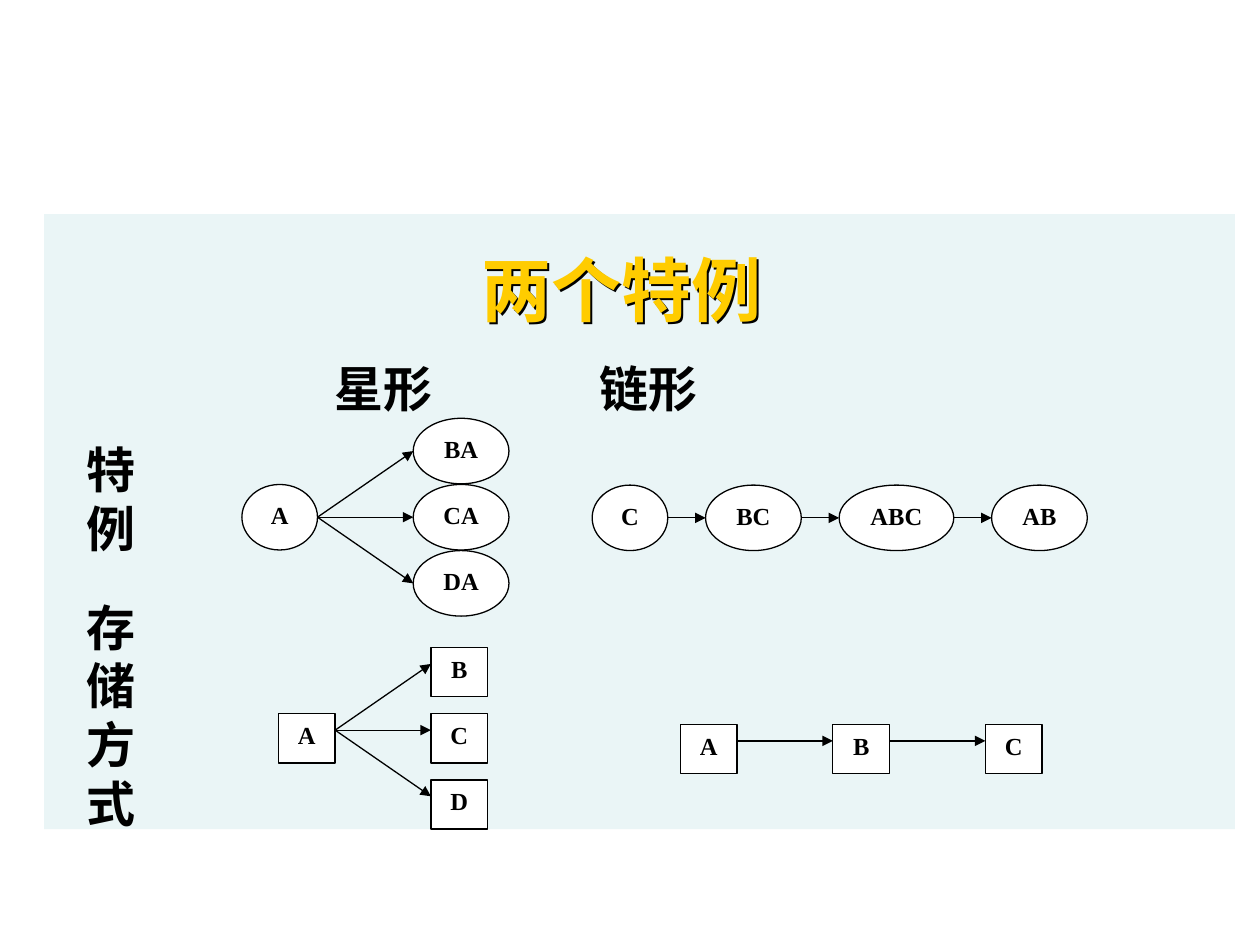
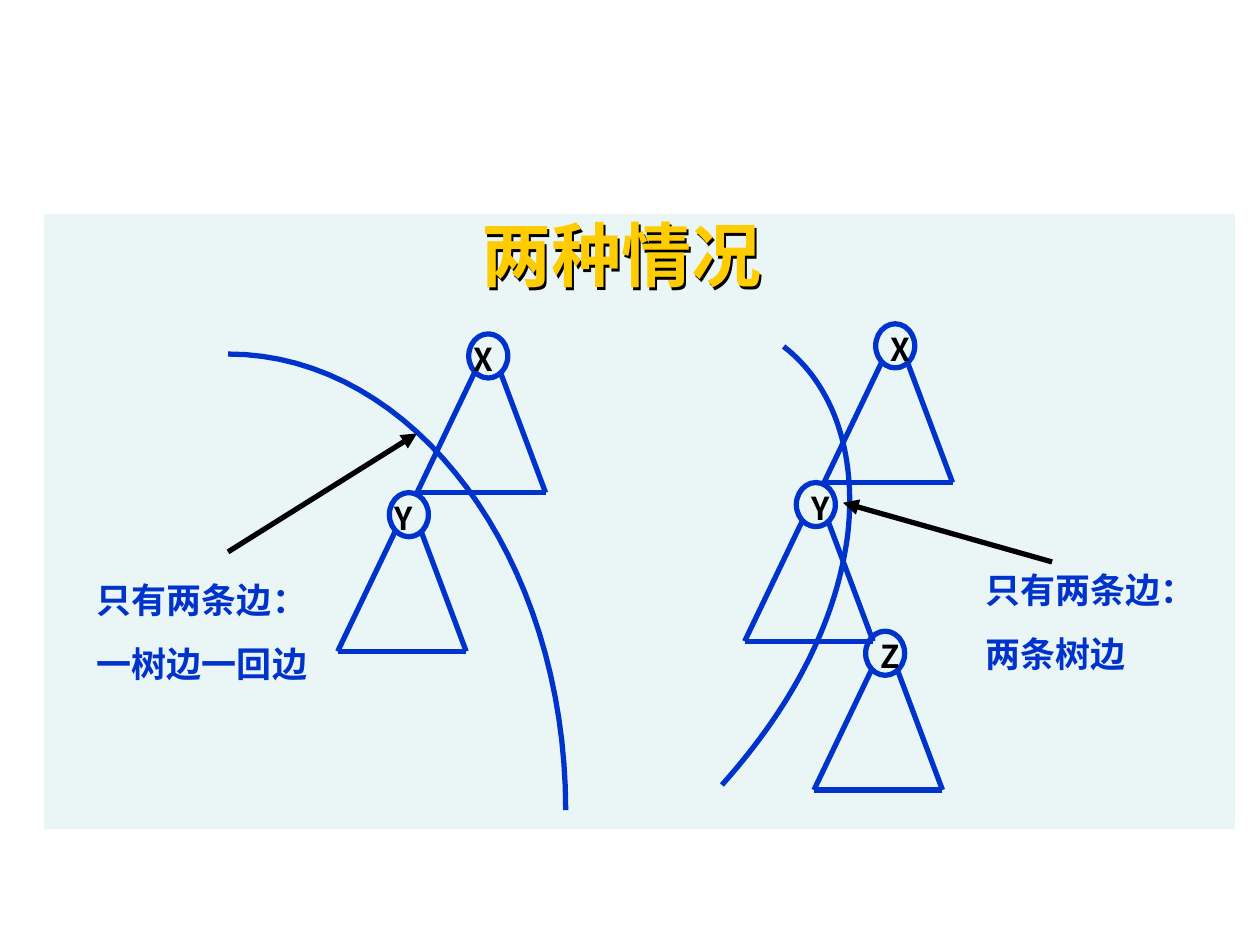
from collections import namedtuple

from lxml import etree
from pptx import Presentation
from pptx.dml.color import RGBColor
from pptx.enum import shapes as kinds, text as txt
from pptx.oxml import ns
from pptx.util import Inches, Pt

BAND = RGBColor(0xBB, 0xE0, 0xE3)
GOLD = RGBColor(0xFF, 0xCC, 0x00)
BLUE = RGBColor(0x00, 0x33, 0xCC)
BLACK = RGBColor(0, 0, 0)
WHITE = RGBColor(0xFF, 0xFF, 0xFF)
CJK = "Noto Sans CJK SC"

NodeStyle = namedtuple("NodeStyle", "outline widths height port star_gap chain_gap")
VERTEX = NodeStyle(kinds.MSO_SHAPE.OVAL, {1: 0.6, 2: 0.76, 3: 0.91}, 0.52, 0.26, 0.76, 0.3)
RECORD = NodeStyle(kinds.MSO_SHAPE.RECTANGLE, {1: 0.45}, 0.39, 0.13, 0.76, 0.76)
LEAF_PITCH = 0.525


def add_child(parent, tag, **attributes):
    return etree.SubElement(parent, ns.qn(tag), attributes)


def style_paragraph(paragraph, size, color, face):
    paragraph.font.size = Pt(size)
    paragraph.font.bold = True
    paragraph.font.color.rgb = color
    paragraph.font.name = face
    defaults = paragraph._p.get_or_add_pPr().find(ns.qn("a:defRPr"))
    add_child(defaults, "a:ea", typeface=CJK)


def add_band(slide, layout):
    band = slide.shapes.add_shape(kinds.MSO_SHAPE.RECTANGLE, Inches(0.35), Inches(1.7),
                                  Inches(9.45), Inches(4.88))
    band.shadow.inherit = False
    band.fill.solid()
    band.fill.fore_color.rgb = BAND
    band.line.fill.background()
    color = band.fill._xPr.find(ns.qn("a:solidFill"))[0]
    add_child(color, "a:alpha", val="30000")
    layout.shapes.element.insert(2, band.element)


def set_title(slide, wording, height):
    title = slide.shapes.title
    title.left, title.top, title.width, title.height = map(Inches, (0.43, 1.62, 9, height))
    title.text_frame.text = wording
    title.text_frame.vertical_anchor = txt.MSO_ANCHOR.MIDDLE
    paragraph = title.text_frame.paragraphs[0]
    paragraph.alignment = txt.PP_ALIGN.CENTER
    style_paragraph(paragraph, 40, GOLD, "Arial")
    title.fill.background()
    effects = add_child(title.element.spPr, "a:effectLst")
    shadow = add_child(effects, "a:outerShdw", dist="22000", dir="2700000")
    add_child(shadow, "a:srgbClr", val="000000")


def add_text(slide, left, top, width, height, lines, size, color=BLACK, face=CJK):
    box = slide.shapes.add_textbox(Inches(left), Inches(top), Inches(width), Inches(height))
    frame = box.text_frame
    frame.word_wrap = True
    frame.text = "\n".join(lines)
    for paragraph in frame.paragraphs:
        paragraph.space_before = Pt(size * 0.625)
        style_paragraph(paragraph, size, color, face)


def add_line(slide, start, end, color=BLACK, weight=0.75, arrow=False):
    line = slide.shapes.add_connector(kinds.MSO_CONNECTOR.STRAIGHT,
                                      *map(Inches, (*start, *end)))
    line.line.color.rgb = color
    line.line.width = Pt(weight)
    if arrow:
        add_child(line.line._get_or_add_ln(), "a:tailEnd", type="triangle")
    add_child(line.element.spPr, "a:effectLst")


def add_node(slide, style, left, top, label):
    width = style.widths[len(label)]
    node = slide.shapes.add_shape(style.outline, Inches(left), Inches(top),
                                  Inches(width), Inches(style.height))
    node.shadow.inherit = False
    node.fill.solid()
    node.fill.fore_color.rgb = WHITE
    node.line.color.rgb = BLACK
    node.line.width = Pt(0.75)
    frame = node.text_frame
    frame.word_wrap = False
    frame.vertical_anchor = txt.MSO_ANCHOR.TOP
    frame.text = label
    frame.paragraphs[0].alignment = txt.PP_ALIGN.CENTER
    style_paragraph(frame.paragraphs[0], 14, BLACK, "Times New Roman")
    return left + width


def add_star(slide, style, left, top, root, leaves):
    root_top = top + LEAF_PITCH * (len(leaves) - 1) / 2
    root_right = add_node(slide, style, left, root_top, root)
    leaf_left = root_right + style.star_gap
    for row, leaf in enumerate(leaves):
        leaf_top = top + row * LEAF_PITCH
        add_line(slide, (root_right, root_top + style.port),
                 (leaf_left, leaf_top + style.port), arrow=True)
        add_node(slide, style, leaf_left, leaf_top, leaf)


def add_chain(slide, style, left, top, labels):
    port = top + style.port
    right = add_node(slide, style, left, top, labels[0])
    for label in labels[1:]:
        following = right + style.chain_gap
        add_line(slide, (right, port), (following, port), arrow=True)
        right = add_node(slide, style, following, top, label)


def add_subtree(slide, left, top, label, label_shift):
    root = slide.shapes.add_shape(kinds.MSO_SHAPE.OVAL, Inches(left + 0.41), Inches(top),
                                  Inches(0.31), Inches(0.35))
    root.shadow.inherit = False
    root.fill.background()
    root.line.color.rgb = BLUE
    root.line.width = Pt(3)
    base_left, base_right = (left, top + 1.26), (left + 1.02, top + 1.26)
    for start, end in (((left + 0.46, top + 0.3), base_left),
                       (base_right, base_left),
                       ((left + 0.66, top + 0.3), base_right)):
        add_line(slide, start, end, BLUE, 3)
    add_text(slide, left + label_shift, top, 0.55, 0.4, [label], 18)


def bezier(p0, p1, p2, p3, steps=32):
    for step in range(1, steps + 1):
        t = step / steps
        weights = ((1 - t) ** 3, 3 * t * (1 - t) ** 2, 3 * t * t * (1 - t), t ** 3)
        yield tuple(Inches(sum(w * p[axis] for w, p in zip(weights, (p0, p1, p2, p3))))
                    for axis in (0, 1))


def add_cut(slide, start, *curves):
    builder = slide.shapes.build_freeform(*map(Inches, start))
    for curve in curves:
        builder.add_line_segments(list(bezier(start, *curve)), close=False)
        start = curve[-1]
    cut = builder.convert_to_shape()
    cut.shadow.inherit = False
    cut.fill.background()
    cut.line.color.rgb = BLUE
    cut.line.width = Pt(3)


def build_special_cases(slide):
    set_title(slide, "两个特例", 1.34)
    add_star(slide, VERTEX, 1.92, 3.32, "A", ["BA", "CA", "DA"])
    add_chain(slide, VERTEX, 4.7, 3.85, ["C", "BC", "ABC", "AB"])
    add_star(slide, RECORD, 2.21, 5.14, "A", ["B", "C", "D"])
    add_chain(slide, RECORD, 5.4, 5.75, ["A", "B", "C"])
    for left, heading in ((2.56, "星形"), (4.66, "链形")):
        add_text(slide, left, 2.8, 1.5, 0.57, [heading], 28)
    for top, height, heading in ((3.44, 1.04, "特例"), (4.69, 1.97, "存储方式")):
        add_text(slide, 0.59, top, 0.63, height, [heading], 28)


def add_case(slide, subtrees, label_shift, cut, pointer, note_at, note):
    for left, top, label in subtrees:
        add_subtree(slide, left, top, label, label_shift)
    add_cut(slide, *cut)
    add_line(slide, *pointer, weight=3, arrow=True)
    add_text(slide, *note_at, 2.16, 0.94, ["只有两条边：", note], 20, BLUE, "Arial")


def build_two_situations(slide):
    set_title(slide, "两种情况", 0.79)
    add_case(slide, [(3.31, 2.65, "X"), (2.68, 3.91, "Y")], 0.35,
             [(1.81, 2.81), ((3.29, 2.81), (4.49, 4.43), (4.49, 6.43))],
             [(1.81, 4.38), (3.31, 3.44)], (0.67, 4.54), "一树边一回边")
    add_case(slide, [(6.54, 2.57, "X"), (5.91, 3.83, "Y"), (6.46, 5.01, "Z")], 0.43,
             [(6.22, 2.75), ((6.61, 3.05), (6.8, 3.59), (6.73, 4.23)),
              ((6.65, 4.88), (6.33, 5.56), (5.73, 6.23))],
             [(8.35, 4.46), (6.69, 3.99)], (7.72, 4.46), "两条树边")


def main():
    deck = Presentation()
    deck.slide_width, deck.slide_height = Inches(10), Inches(7.5)
    layout = deck.slide_layouts[5]
    special_cases = deck.slides.add_slide(layout)
    add_band(special_cases, layout)
    build_special_cases(special_cases)
    build_two_situations(deck.slides.add_slide(layout))
    deck.save("out.pptx")


if __name__ == "__main__":
    main()
